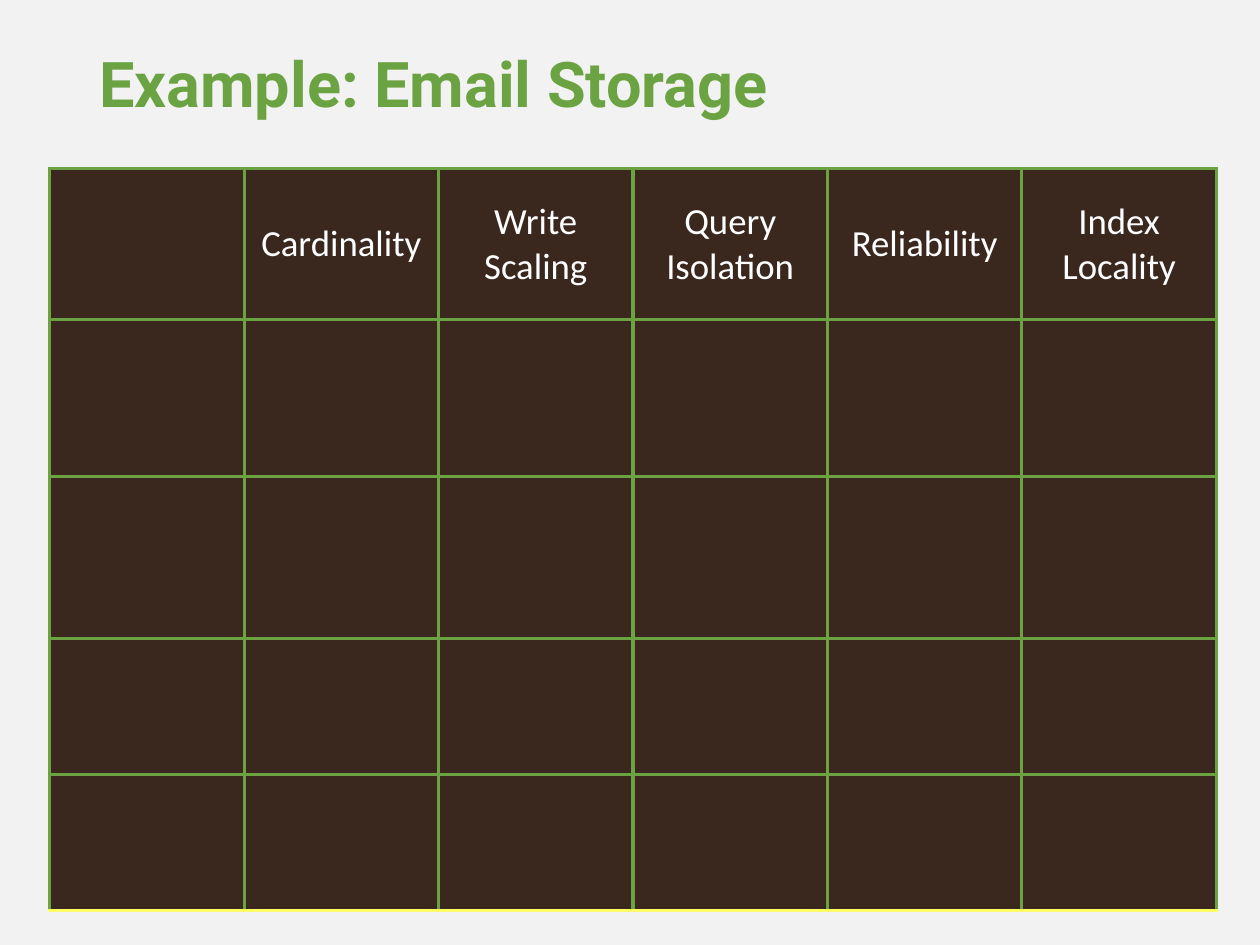
from lxml.etree import SubElement
from pptx import Presentation
from pptx.dml.color import RGBColor
from pptx.enum.text import MSO_ANCHOR, PP_ALIGN
from pptx.oxml.ns import qn
from pptx.util import Cm, Pt

COLORS = {
    "background": "F2F2F2",
    "green": "6BA342",
    "brown": "3A281E",
    "yellow": "FFFF66",
    "white": "FFFFFF",
}
HEADERS = ["", "Cardinality", "Write Scaling", "Query Isolation", "Reliability", "Index\nLocality"]
ROW_HEIGHTS = [3.05, 3.15, 3.28, 2.74, 2.74]
COL_WIDTH = 3.92


def rgb(name):
    return RGBColor.from_string(COLORS[name])


def add_border(cell, side, color):
    ln = SubElement(cell._tc.get_or_add_tcPr(), qn(f"a:ln{side}"), w=str(Pt(2)))
    fill = SubElement(ln, qn("a:solidFill"))
    SubElement(fill, qn("a:srgbClr"), val=COLORS[color])


prs = Presentation()
prs.slide_width, prs.slide_height = Cm(25.4), Cm(19.05)
s = prs.slides.add_slide(prs.slide_layouts[6])
s.background.fill.solid()
s.background.fill.fore_color.rgb = rgb("background")

table = s.shapes.add_table(
    len(ROW_HEIGHTS), len(HEADERS), Cm(1), Cm(3.4),
    Cm(COL_WIDTH * len(HEADERS)), Cm(sum(ROW_HEIGHTS)),
).table
for col in table.columns:
    col.width = Cm(COL_WIDTH)
for row, height in zip(table.rows, ROW_HEIGHTS):
    row.height = Cm(height)

last_row = len(ROW_HEIGHTS) - 1
for i, row in enumerate(table.rows):
    for cell in row.cells:
        for side in "LRTB":
            add_border(cell, side, "yellow" if i == last_row and side == "B" else "green")
        cell.fill.solid()
        cell.fill.fore_color.rgb = rgb("brown")

for cell, header in zip(table.rows[0].cells, HEADERS):
    if not header:
        continue
    cell.vertical_anchor = MSO_ANCHOR.MIDDLE
    cell.margin_left = cell.margin_right = Cm(0.1)
    cell.margin_top = cell.margin_bottom = 0
    cell.text = header
    for p in cell.text_frame.paragraphs:
        p.alignment = PP_ALIGN.CENTER
        p.font.name = "Calibri"
        p.font.size = Pt(21)
        p.font.bold = False
        p.font.color.rgb = rgb("white")

tf = s.shapes.add_textbox(Cm(1.75), Cm(0.94), Cm(21.95), Cm(2.36)).text_frame
tf.word_wrap = True
p = tf.paragraphs[0]
p.text = "Example: Email Storage"
p.line_spacing = 0.9
p.font.name = "Roboto"
p.font.size = Pt(36)
p.font.bold = True
p.font.color.rgb = rgb("green")

prs.save("out.pptx")
